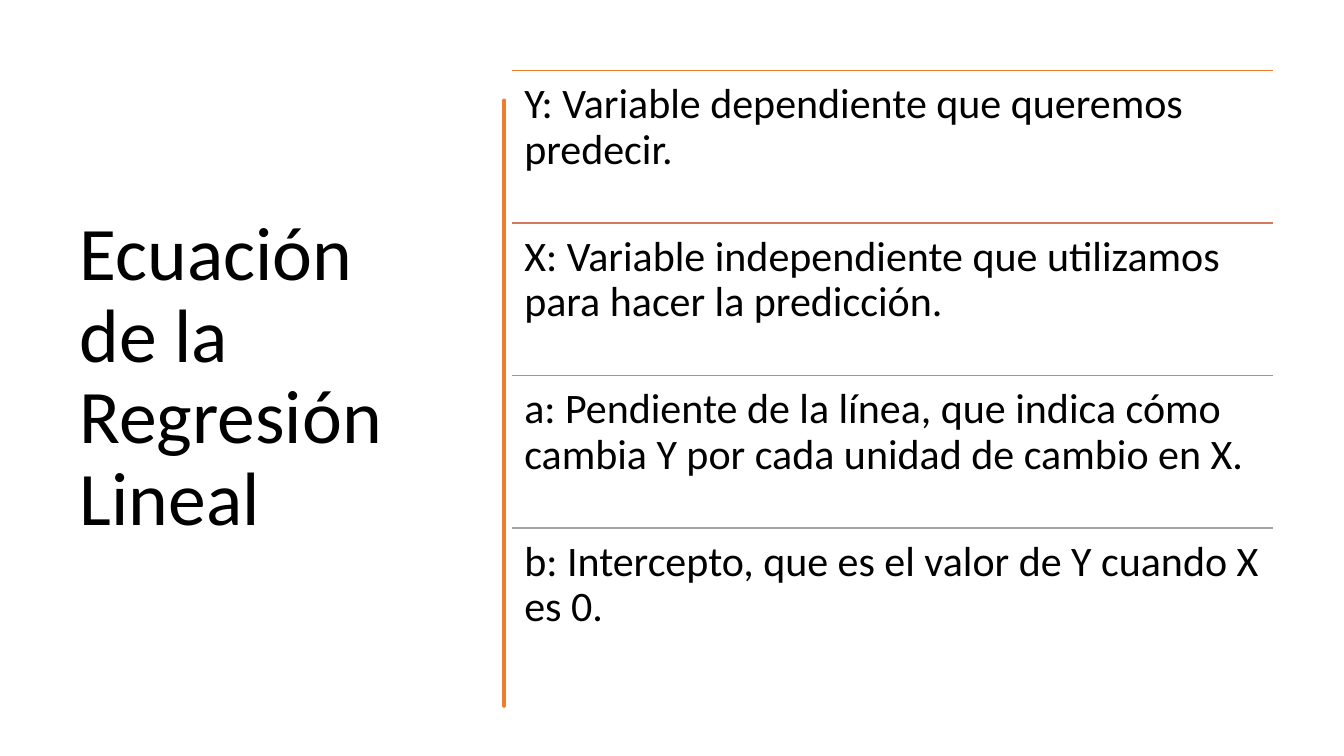
from dataclasses import dataclass

from lxml.etree import SubElement
from pptx import Presentation
from pptx.dml.color import RGBColor as Rgb
from pptx.enum.shapes import MSO_CONNECTOR as Connector
from pptx.enum.text import MSO_ANCHOR as Anchor, MSO_AUTO_SIZE as AutoSize, PP_ALIGN as Align
from pptx.oxml.ns import qn
from pptx.util import Inches, Pt


@dataclass(frozen=True)
class Theme:
    font: str = "Calibri"
    ink: str = "000000"
    accent: str = "ED7D31"
    title_size: float = 54
    body_size: float = 30
    bar_line: float = 3.25
    rule_line: float = 1
    line_spacing: float = 0.9


# Content: each term with the colour of the rule above it
TITLE = "Ecuación de la Regresión Lineal"
TERMS = [
    ("Y: Variable dependiente que queremos predecir.", "ED7D31"),
    ("X: Variable independiente que utilizamos para hacer la predicción.", "D17B5C"),
    ("a: Pendiente de la línea, que indica cómo cambia Y por cada unidad de cambio en X.", "B98A82"),
    ("b: Intercepto, que es el valor de Y cuando X es 0.", "A5A5A5"),
]

# Layout, in inches
TERMS_LEFT, TERMS_TOP, TERMS_WIDTH, TERMS_HEIGHT = 5.08, 0.7, 7.55, 6.05
TERM_INSET = 0.12

# Hand-drawn divider: edges as (x, y), right side down, left side up
BAR_RIGHT = [(4.75, 0.84), (4.76, 1.15), (4.74, 1.7), (4.75, 2.26), (4.75, 2.94),
             (4.76, 3.45), (4.75, 3.62), (4.76, 4.1), (4.74, 4.65), (4.75, 5.1),
             (4.76, 5.45), (4.75, 5.84), (4.75, 6.76)]
BAR_LEFT = [(4.73, 6.76), (4.72, 6.4), (4.73, 6.13), (4.73, 5.5), (4.74, 5.1),
            (4.73, 4.77), (4.72, 4.4), (4.73, 4.15), (4.72, 3.6), (4.73, 3.0),
            (4.73, 2.38), (4.73, 2.0), (4.72, 1.7), (4.74, 1.2), (4.73, 0.84)]


class SlideBuilder:
    def __init__(self, slide, theme):
        self.slide = slide
        self.theme = theme

    def set_text(self, shape, text, size, frame_format):
        frame = shape.text_frame
        frame.text = text
        frame_format = {"word_wrap": True, "auto_size": AutoSize.NONE, **frame_format}
        for name, value in frame_format.items():
            setattr(frame, name, value)
        paragraph = frame.paragraphs[0]
        paragraph.alignment = Align.LEFT
        paragraph.line_spacing = self.theme.line_spacing
        font = paragraph.runs[0].font
        for name, value in {"name": self.theme.font, "size": Pt(size)}.items():
            setattr(font, name, value)
        font.color.rgb = Rgb.from_string(self.theme.ink)

    def title(self, text, left, top, width, height):
        title = self.slide.shapes.title
        box = {"left": left, "top": top, "width": width, "height": height}
        for name, value in box.items():
            setattr(title, name, Inches(value))
        self.set_text(title, text, self.theme.title_size, {"vertical_anchor": Anchor.MIDDLE})

    def bar(self, outline):
        start, *rest = outline
        builder = self.slide.shapes.build_freeform(*start, scale=Inches(1))
        builder.add_line_segments(rest, close=True)
        bar = builder.convert_to_shape()
        bar.shadow.inherit = False
        bar.fill.solid()
        for colour in (bar.fill.fore_color, bar.line.color):
            colour.rgb = Rgb.from_string(self.theme.accent)
        bar.line.width = Pt(self.theme.bar_line)

    def rule(self, left, top, width, colour):
        rule = self.slide.shapes.add_connector(
            Connector.STRAIGHT, Inches(left), Inches(top), Inches(left + width), Inches(top))
        rule.line.color.rgb = Rgb.from_string(colour)
        rule.line.width = Pt(self.theme.rule_line)
        SubElement(rule._element.spPr, qn("a:effectLst"))

    def term(self, text, left, top, width, height):
        term = self.slide.shapes.add_textbox(
            Inches(left), Inches(top), Inches(width), Inches(height))
        insets = {f"margin_{side}": Inches(TERM_INSET)
                  for side in ("left", "top", "right", "bottom")}
        self.set_text(term, text, self.theme.body_size,
                      {"vertical_anchor": Anchor.TOP, **insets})


def main():
    deck = Presentation()
    deck.slide_width, deck.slide_height = Inches(13.33), Inches(7.5)
    title_only = deck.slide_layouts[5]
    builder = SlideBuilder(deck.slides.add_slide(title_only), Theme())

    # Title and divider
    builder.title(TITLE, 0.69, 0.7, 3.74, 6.11)
    builder.bar(BAR_RIGHT + BAR_LEFT)

    # Terms of the equation, in equal rows
    row_height = TERMS_HEIGHT / len(TERMS)
    for row, (text, colour) in enumerate(TERMS):
        top = TERMS_TOP + row * row_height
        builder.rule(TERMS_LEFT, top, TERMS_WIDTH, colour)
        builder.term(text, TERMS_LEFT, top, TERMS_WIDTH, row_height)

    deck.save("out.pptx")


if __name__ == "__main__":
    main()
